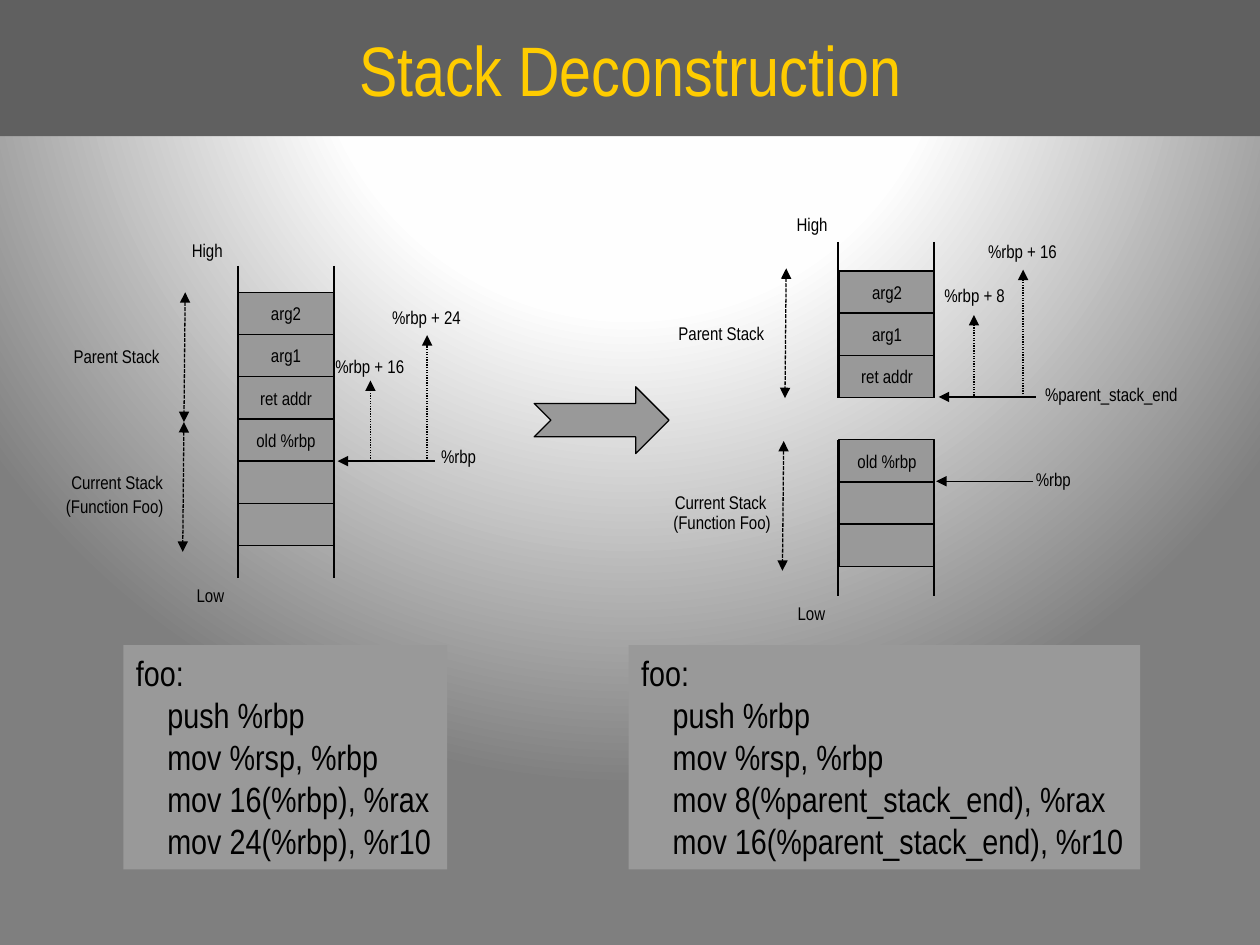
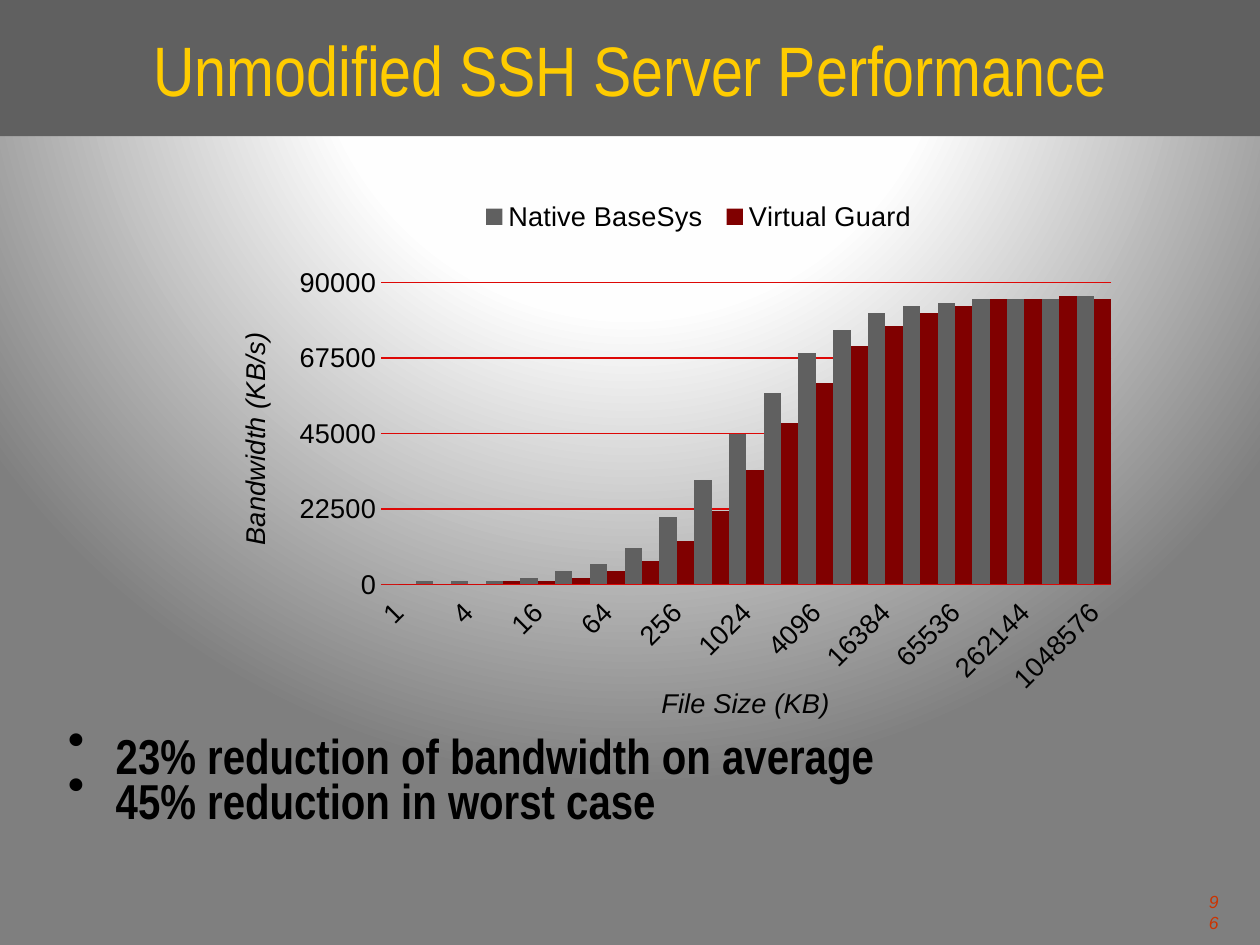
from dataclasses import dataclass
from typing import Any

from pptx import Presentation
from pptx import util as u
from pptx.chart import data
from pptx.dml import color
from pptx.enum import chart as charts, dml, shapes, text
from pptx.oxml import parse_xml
from pptx.oxml.ns import nsdecls, qn


@dataclass(frozen=True)
class Theme:
    band: str = "606060"
    title: str = "FFCC00"
    ink: str = "000000"
    cell: str = "999999"
    grid: str = "DD0806"
    accent: str = "800000"
    number: str = "CC3300"
    narrow: str = "Arial Narrow"
    plain: str = "Arial"
    title_size: float = 40
    body_size: float = 28
    code_size: float = 20
    label_size: float = 10.5
    number_size: float = 10
    chart_size: float = 15.5
    thin: float = 0.75
    rail: float = 1.25
    stops: tuple = ((0, "FFFFFF"), (40, "FEFEFE"), (100, "7F7F7F"))


ROW = 0.335
CELL_WIDTH = 0.76
LABEL_HEIGHT = 0.28
CENTER = text.PP_ALIGN.CENTER
DASH = dml.MSO_LINE.SQUARE_DOT
DOT = dml.MSO_LINE.ROUND_DOT


def rgb(value):
    return color.RGBColor.from_string(value)


def inches(*values):
    return [u.Inches(value) for value in values]


@dataclass
class Builder:
    deck: Any
    theme: Theme
    page: Any = None

    def new_page(self, title):
        self.page = self.deck.slides.add_slide(self.deck.slide_layouts[6])
        stops = "".join(
            f'<a:gs pos="{pos * 1000}"><a:srgbClr val="{shade}"/></a:gs>'
            for pos, shade in self.theme.stops)
        background = parse_xml(
            f'<p:bg {nsdecls("p", "a")}><p:bgPr><a:gradFill rotWithShape="1">'
            f'<a:gsLst>{stops}</a:gsLst><a:path path="circle">'
            '<a:fillToRect l="50000" t="-80000" r="50000" b="180000"/></a:path>'
            '</a:gradFill><a:effectLst/></p:bgPr></p:bg>')
        self.page.element.cSld.insert(0, background)
        band = self.block((0, 0, 10, 1.08), self.theme.band, outlined=False)
        band.text_frame.vertical_anchor = text.MSO_ANCHOR.MIDDLE
        para = band.text_frame.paragraphs[0]
        para.alignment = CENTER
        self.span(para, title, self.theme.title_size, self.theme.title)

    def font(self, font, size, shade=None, face=None, bold=False, italic=False):
        font.size = u.Pt(size)
        font.name = face or self.theme.narrow
        font.color.rgb = rgb(shade or self.theme.ink)
        font.bold, font.italic = bold, italic

    def span(self, para, words, size, shade=None, **style):
        span = para.add_run()
        span.text = words
        self.font(span.font, size, shade, **style)

    def block(self, at, fill, kind=shapes.MSO_SHAPE.RECTANGLE, outlined=True):
        box = self.page.shapes.add_shape(kind, *inches(*at))
        box.shadow.inherit = False
        box.fill.solid()
        box.fill.fore_color.rgb = rgb(fill)
        if outlined:
            box.line.color.rgb = rgb(self.theme.ink)
            box.line.width = u.Pt(self.theme.thin)
        else:
            box.line.fill.background()
        return box

    def label(self, words, left, top, width):
        box = self.page.shapes.add_textbox(*inches(left, top, width, LABEL_HEIGHT))
        box.text_frame.word_wrap = False
        para = box.text_frame.paragraphs[0]
        para.alignment = CENTER
        self.span(para, words, self.theme.label_size)

    def line(self, start, end, width=None, dash=None, ends=()):
        line = self.page.shapes.add_connector(
            shapes.MSO_CONNECTOR.STRAIGHT, *inches(*start, *end))
        line.line.color.rgb = rgb(self.theme.ink)
        line.line.width = u.Pt(width or self.theme.thin)
        if dash:
            line.line.dash_style = dash
        for end_name in ends:
            line.line._get_or_add_ln().append(
                parse_xml(f'<a:{end_name} {nsdecls("a")} type="triangle"/>'))
        line._element.spPr.append(parse_xml(f'<a:effectLst {nsdecls("a")}/>'))

    def arrow(self, start, end, dash=None):
        self.line(start, end, dash=dash, ends=["tailEnd"])

    def extent(self, start, end):
        self.line(start, end, dash=DASH, ends=["headEnd", "tailEnd"])

    def cells(self, left, top, labels):
        for row, (words, width) in enumerate(labels):
            y = top + row * ROW
            self.block((left, y, CELL_WIDTH, ROW), self.theme.cell)
            if words:
                self.label(words, left + (CELL_WIDTH - width) / 2, y + 0.03, width)

    def rails(self, left, top, bottom):
        for x in (left, left + CELL_WIDTH):
            self.line((x, top), (x, bottom), self.theme.rail)

    def code(self, at, lines):
        box = self.block(at, self.theme.cell, outlined=False)
        frame = box.text_frame
        frame.word_wrap = False
        frame.vertical_anchor = text.MSO_ANCHOR.TOP
        for number, words in enumerate(lines):
            para = frame.add_paragraph() if number else frame.paragraphs[0]
            para.alignment = text.PP_ALIGN.LEFT
            if number:
                para._p.get_or_add_pPr().set("marL", str(u.Inches(0.25)))
            self.span(para, words, self.theme.code_size)

    def bullets(self, at, lines):
        frame = self.page.shapes.add_textbox(*inches(*at)).text_frame
        frame.word_wrap = True
        for number, words in enumerate(lines):
            para = frame.add_paragraph() if number else frame.paragraphs[0]
            para.line_spacing = 0.1
            settings = para._p.get_or_add_pPr()
            settings.set("marL", str(u.Inches(0.38)))
            settings.set("indent", str(u.Inches(-0.38)))
            for item in ('spcBef {}><a:spcPct val="80000"/></a:spcBef>',
                         'buChar {} char="•"/>'):
                settings.append(parse_xml("<a:" + item.format(nsdecls("a"))))
            self.span(para, words, self.theme.body_size, bold=True)

    def number(self, words):
        frame = self.page.shapes.add_textbox(*inches(9.56, 7.07, 0.11, 0.34)).text_frame
        frame.word_wrap = True
        frame.margin_left = frame.margin_right = 0
        frame.margin_top = frame.margin_bottom = 0
        para = frame.paragraphs[0]
        para.alignment = text.PP_ALIGN.RIGHT
        self.span(para, words, self.theme.number_size, self.theme.number,
                  face=self.theme.plain, italic=True)

    def place(self, element, x, y, size=None, after=None, inner=False):
        for old in element.findall(qn("c:layout")):
            element.remove(old)
        values = [("xMode", "edge"), ("yMode", "edge"), ("x", x), ("y", y)]
        if inner:
            values.insert(0, ("layoutTarget", "inner"))
        if size:
            values += zip("wh", size)
        parts = "".join(f'<c:{name} val="{value}"/>' for name, value in values)
        layout = parse_xml(f'<c:layout {nsdecls("c")}><c:manualLayout>{parts}'
                           '</c:manualLayout></c:layout>')
        if after:
            element.find(qn(after)).addnext(layout)
        else:
            element.insert(0, layout)

    def axis(self, axis, title, x, y):
        axis.format.line.fill.background()
        axis.minor_tick_mark = charts.XL_TICK_MARK.NONE
        self.font(axis.tick_labels.font, self.theme.chart_size, face=self.theme.plain)
        axis.tick_labels.number_format = "General"
        axis.tick_labels.number_format_is_linked = False
        para = axis.axis_title.text_frame.paragraphs[0]
        self.span(para, title, self.theme.chart_size, face=self.theme.plain, italic=True)
        self.place(axis.axis_title._element, x, y, after="c:tx")

    def columns(self, at, categories, series):
        source = data.CategoryChartData()
        source.categories = categories
        for name, values, shade in series:
            source.add_series(name, values)
        chart = self.page.shapes.add_chart(
            charts.XL_CHART_TYPE.COLUMN_CLUSTERED, *inches(*at), source).chart
        chart.has_title = False
        self.font(chart.font, self.theme.chart_size, face=self.theme.plain)
        plot = chart.plots[0]
        plot.vary_by_categories = False
        plot.gap_width = plot.overlap = 0
        for bars, (name, values, shade) in zip(plot.series, series):
            bars.format.fill.solid()
            bars.format.fill.fore_color.rgb = rgb(shade)
            bars.invert_if_negative = False

        across, up = chart.category_axis, chart.value_axis
        self.axis(across, "File Size (KB)", 0.525, 0.648)
        across.major_tick_mark = charts.XL_TICK_MARK.CROSS
        across.tick_label_position = charts.XL_TICK_LABEL_POSITION.LOW
        across._element.find(qn("c:txPr")).find(qn("a:bodyPr")).set("rot", "-2700000")
        across._element.find(qn("c:noMultiLvlLbl")).addprevious(
            parse_xml(f'<c:tickLblSkip {nsdecls("c")} val="2"/>'))
        self.axis(up, "Bandwidth (KB/s)", 0.124, 0.178)
        up.major_tick_mark = charts.XL_TICK_MARK.NONE
        up.minimum_scale, up.maximum_scale, up.major_unit = 0, 90000, 22500
        up.has_major_gridlines = True
        up.major_gridlines.format.line.color.rgb = rgb(self.theme.grid)
        up.major_gridlines.format.line.width = u.Pt(0.7)

        chart.has_legend = True
        legend = chart.legend
        legend.position = charts.XL_LEGEND_POSITION.TOP
        legend.include_in_layout = False
        self.font(legend.font, self.theme.chart_size, face=self.theme.plain)
        self.place(legend._element, 0.35, 0.01, (0.43, 0.04), after="c:legendPos")
        self.place(chart._chartSpace.chart.plotArea, 0.265, 0.118, (0.69, 0.402), inner=True)


def stack_page(build):
    build.new_page("Stack Deconstruction")
    parent = [("arg2", 0.44), ("arg1", 0.44), ("ret addr", 0.63)]
    current = [("old %rbp", 0.68), ("", 0), ("", 0)]
    build.cells(1.89, 2.32, parent + current)
    build.rails(1.89, 2.11, 4.59)
    build.cells(6.66, 2.15, parent)
    build.cells(6.66, 3.49, current)
    build.rails(6.65, 1.92, 3.16)
    build.rails(6.65, 3.49, 4.73)

    for words, left, top, width in [
            ("High", 1.42, 1.85, 0.45), ("Low", 1.46, 4.59, 0.42),
            ("Parent Stack", 0.48, 2.69, 0.89),
            ("Current Stack", 0.46, 3.69, 0.94), ("(Function Foo)", 0.42, 3.88, 0.98),
            ("%rbp", 3.4, 3.48, 0.48),
            ("%rbp + 16", 2.56, 2.77, 0.75), ("%rbp + 24", 3.01, 2.38, 0.75),
            ("High", 6.22, 1.64, 0.45), ("Low", 6.23, 4.73, 0.42),
            ("Parent Stack", 5.28, 2.51, 0.89),
            ("Current Stack", 5.25, 3.85, 0.94), ("(Function Foo)", 5.24, 4.01, 0.98),
            ("%rbp", 8.12, 3.67, 0.48), ("%parent_stack_end", 8.19, 2.99, 1.26),
            ("%rbp + 8", 7.39, 2.21, 0.69), ("%rbp + 16", 7.74, 1.86, 0.75)]:
        build.label(words, left, top, width)

    for x, top in [(1.47, 2.32), (1.46, 3.35), (6.24, 2.13), (6.22, 3.5)]:
        build.extent((x, top), (x - 0.01, top + 1.03))
    for x, bottom, top in [(2.94, 3.66, 3.02), (3.39, 3.66, 2.66),
                           (7.73, 3.14, 2.5), (8.12, 3.15, 2.14)]:
        build.arrow((x, bottom), (x, top), DOT)
    for tip, y in [(2.68, 3.66), (7.43, 3.82), (7.45, 3.15)]:
        build.arrow((tip + 0.77, y), (tip, y))
    build.block((4.24, 3.07, 1.07, 0.53), build.theme.cell,
                shapes.MSO_SHAPE.NOTCHED_RIGHT_ARROW)

    prologue = ["foo:", "push %rbp", "mov %rsp, %rbp"]
    build.code((0.98, 5.12, 2.57, 1.78),
               prologue + ["mov 16(%rbp), %rax", "mov 24(%rbp), %r10"])
    build.code((4.99, 5.12, 4.06, 1.78),
               prologue + ["mov 8(%parent_stack_end), %rax",
                           "mov 16(%parent_stack_end), %r10"])


def performance_page(build):
    build.new_page("Unmodified SSH Server Performance")
    build.bullets((0.44, 6.06, 9.12, 0.95),
                  ["23% reduction of bandwidth on average", "45% reduction in worst case"])
    native = [0, 1, 1, 1, 2, 4, 6, 11, 20, 31, 45, 57, 69, 76, 81, 83, 84, 85, 85, 85, 86]
    guarded = [0, 0, 0, 1, 1, 2, 4, 7, 13, 22, 34, 48, 60, 71, 77, 81, 83, 85, 85, 86, 85]
    build.columns(
        (0.8, 1.54, 8.4, 5.96), [str(2 ** power) for power in range(21)],
        [("Native BaseSys", [value * 1000 for value in native], build.theme.band),
         ("Virtual Guard", [value * 1000 for value in guarded], build.theme.accent)])
    build.number("96")


deck = Presentation()
deck.slide_width, deck.slide_height = inches(10, 7.5)
builder = Builder(deck, Theme())
stack_page(builder)
performance_page(builder)
deck.save("out.pptx")
